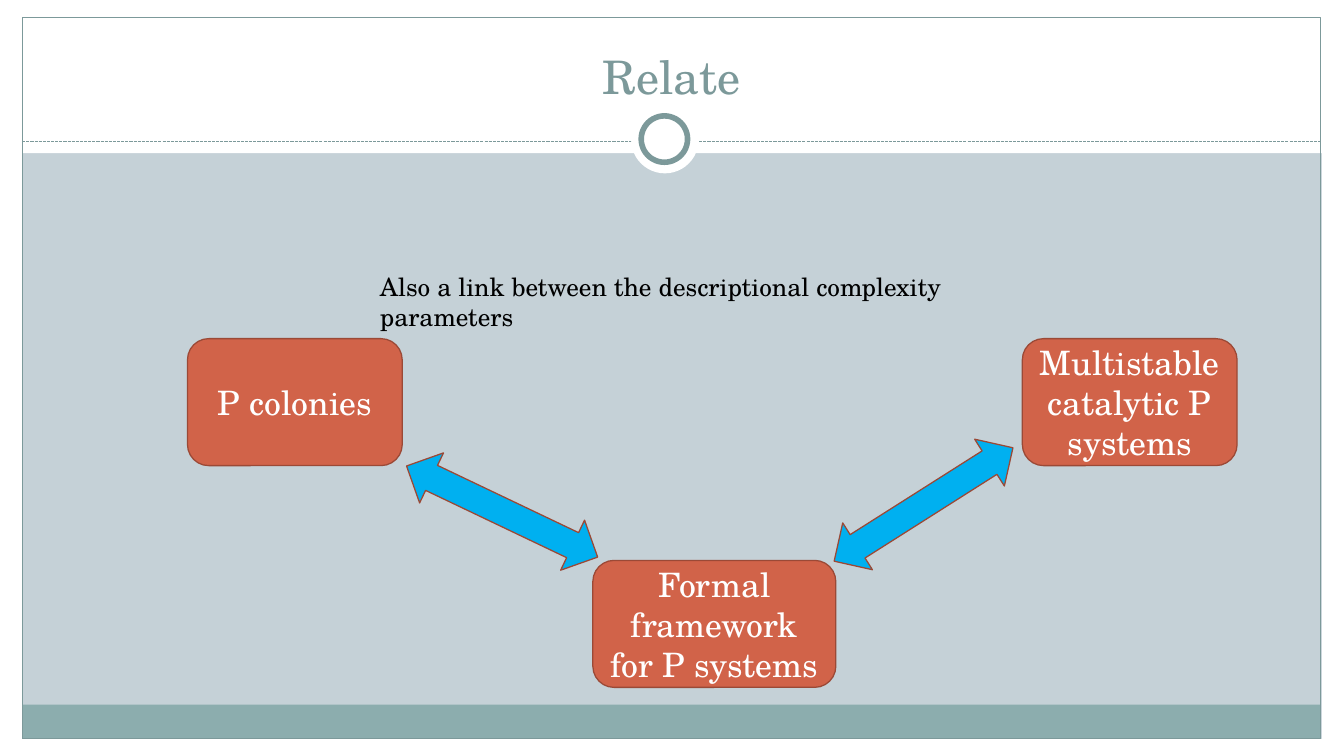
from lxml import etree
from pptx import Presentation
from pptx.dml.color import RGBColor
from pptx.enum.dml import MSO_LINE
from pptx.enum.shapes import MSO_CONNECTOR, MSO_SHAPE
from pptx.enum.text import MSO_ANCHOR, PP_ALIGN
from pptx.oxml.ns import qn
from pptx.util import Inches, Pt

FONT = "TeX Gyre Schola"
WHITE = RGBColor(0xFF, 0xFF, 0xFF)
BLACK = RGBColor(0x00, 0x00, 0x00)
BACKDROP = RGBColor(0xC5, 0xD1, 0xD7)
BAND = RGBColor(0x8C, 0xAD, 0xAE)
TEAL = RGBColor(0x7C, 0x99, 0x9A)
ORANGE = RGBColor(0xD1, 0x63, 0x49)
RUST = RGBColor(0x9B, 0x49, 0x36)
SKY = RGBColor(0x00, 0xB0, 0xF0)

presentation = Presentation()
presentation.slide_width = Inches(13.33)
presentation.slide_height = Inches(7.5)
slide = presentation.slides.add_slide(presentation.slide_layouts[6])
slide.background.fill.solid()
slide.background.fill.fore_color.rgb = BACKDROP


def add_figure(preset, box, fill=None, line=None, weight=0.75):
    """Add a preset shape without shadow; no colour means no fill or no line."""
    figure = slide.shapes.add_shape(preset, *map(Inches, box))
    figure.shadow.inherit = False
    if fill is None:
        figure.fill.background()
    else:
        figure.fill.solid()
        figure.fill.fore_color.rgb = fill
    if line is None:
        figure.line.fill.background()
    else:
        figure.line.color.rgb = line
        figure.line.width = Pt(weight)
    return figure


def write_text(holder, wording, size, color, align, anchor):
    frame = holder.text_frame
    frame.text = wording
    frame.word_wrap = True
    frame.vertical_anchor = anchor
    paragraph = frame.paragraphs[0]
    paragraph.alignment = align
    font = paragraph.runs[0].font
    font.name = FONT
    font.size = Pt(size)
    font.color.rgb = color


# White margins, footer band and frame
for margin in [(0, 7.33, 13.33, 0.17), (0, 0, 13.33, 1.52),
               (0, 0, 0.22, 7.5), (13.11, 0, 0.22, 7.5)]:
    add_figure(MSO_SHAPE.RECTANGLE, margin, fill=WHITE)
add_figure(MSO_SHAPE.RECTANGLE, (0.22, 6.99, 12.88, 0.34), fill=BAND)
add_figure(MSO_SHAPE.RECTANGLE, (0.22, 0.17, 12.88, 7.16), line=TEAL)

# Dashed divider with its ring
divider = slide.shapes.add_connector(
    MSO_CONNECTOR.STRAIGHT, Inches(0.22), Inches(1.4), Inches(13.1), Inches(1.4))
divider.line.color.rgb = TEAL
divider.line.width = Pt(0.75)
divider.line.dash_style = MSO_LINE.SQUARE_DOT
etree.SubElement(divider._element.spPr, qn("a:effectLst"))
add_figure(MSO_SHAPE.OVAL, (6.26, 1.05, 0.67, 0.67), fill=WHITE)
add_figure(MSO_SHAPE.OVAL, (6.36, 1.15, 0.46, 0.46), fill=WHITE, line=TEAL, weight=4)

title = slide.shapes.add_textbox(Inches(0.44), Inches(0.25), Inches(12.44), Inches(0.83))
write_text(title, "Relate", 33, TEAL, PP_ALIGN.CENTER, MSO_ANCHOR.BOTTOM)

# Related models
for model, left, top, width in [("P colonies", 1.86, 3.36, 2.13),
                                ("Multistable catalytic P systems", 10.14, 3.36, 2.13),
                                ("Formal framework for P systems", 5.88, 5.56, 2.41)]:
    model_box = add_figure(MSO_SHAPE.ROUNDED_RECTANGLE, (left, top, width, 1.26),
                           ORANGE, RUST, 0.9)
    write_text(model_box, model, 24, WHITE, PP_ALIGN.CENTER, MSO_ANCHOR.MIDDLE)

# Two-way links
for left, top, angle in [(3.93, 4.8, 25.5), (8.11, 4.73, 147.6)]:
    link = add_figure(MSO_SHAPE.LEFT_RIGHT_ARROW, (left, top, 2.1, 0.55), SKY, RUST, 0.9)
    link.rotation = angle

remark = slide.shapes.add_textbox(Inches(3.67), Inches(2.64), Inches(6.92), Inches(0.4))
write_text(remark, "Also a link between the descriptional complexity parameters",
           18, BLACK, PP_ALIGN.LEFT, MSO_ANCHOR.TOP)

presentation.save("out.pptx")
